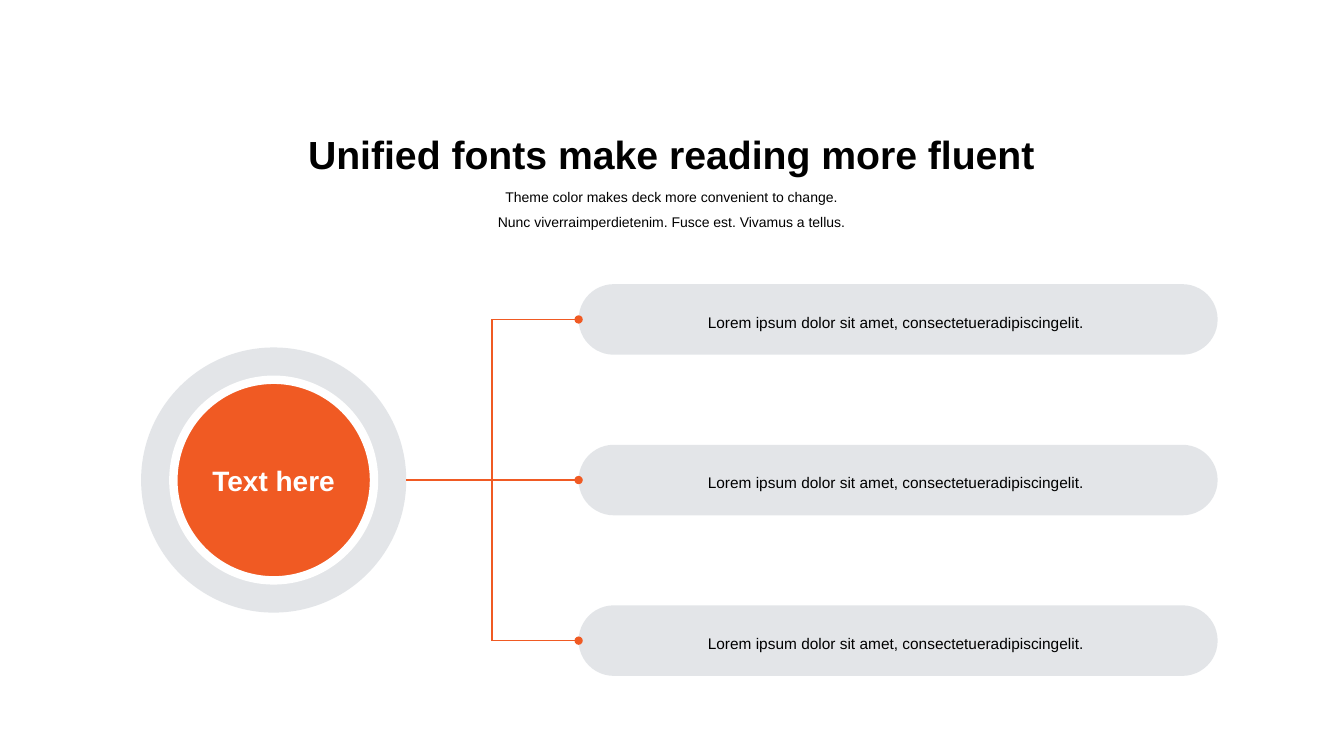
from dataclasses import dataclass

from lxml.etree import SubElement
from pptx import Presentation
from pptx.dml.color import RGBColor
from pptx.enum.shapes import MSO_CONNECTOR as Connector, MSO_SHAPE as Shape
from pptx.enum.text import MSO_ANCHOR as Anchor, MSO_AUTO_SIZE as AutoSize, PP_ALIGN as Align
from pptx.oxml.ns import qn
from pptx.shapes.autoshape import Shape as AutoShape
from pptx.slide import Slide
from pptx.util import Pt

COLORS = {"accent": "F05A23", "slate": "44546A", "white": "FFFFFF", "black": "000000"}
FONT = "Arial"
LEFT_SIDE, RIGHT_SIDE = 1, 3

CENTER_Y = 342.9
PILL_LEFT, PILL_WIDTH, PILL_HEIGHT, PILL_STEP = 413.3, 456.5, 50.4, 114.7
SPINE_X = 351.4
RING_CENTER_X, RING_SIZE, CORE_SIZE = 195.5, 189.4, 143.3
PILL_TEXTS = ["Lorem ipsum dolor sit amet, consectetueradipiscingelit. "] * 3


@dataclass
class Box:
    left: float
    top: float
    width: float
    height: float


@dataclass
class TextStyle:
    size: float
    color: str = "black"
    bold: bool = False
    line_spacing: float = 1.0


@dataclass
class Heading:
    box: Box
    text: str
    style: TextStyle
    anchor: Anchor


HEADINGS = [
    Heading(Box(86.4, 89.3, 786.2, 41), "Unified fonts make reading more fluent",
            TextStyle(28, bold=True), Anchor.MIDDLE),
    Heading(Box(86.4, 125.3, 786.2, 41),
            "Theme color makes deck more convenient to change.\n"
            "Nunc viverraimperdietenim. Fusce est. Vivamus a tellus.",
            TextStyle(10, line_spacing=1.5), Anchor.TOP),
]


def rgb(name: str) -> RGBColor:
    return RGBColor.from_string(COLORS[name])


def write_text(shape: AutoShape, text: str, style: TextStyle,
               anchor: Anchor = Anchor.MIDDLE, wrap: bool = True) -> None:
    frame = shape.text_frame
    frame.text = text
    frame.word_wrap = wrap
    frame.vertical_anchor = anchor
    for paragraph in frame.paragraphs:
        paragraph.alignment = Align.CENTER
        paragraph.line_spacing = style.line_spacing
        for run in paragraph.runs:
            run.font.name = FONT
            run.font.size = Pt(style.size)
            run.font.bold = style.bold
            run.font.color.rgb = rgb(style.color)


def add_pill(slide: Slide, box: Box, color: str, alpha: int = 100) -> AutoShape:
    """Add a fully rounded rectangle; alpha is the opacity in percent."""
    shape = slide.shapes.add_shape(Shape.ROUNDED_RECTANGLE, Pt(box.left), Pt(box.top),
                                   Pt(box.width), Pt(box.height))
    shape.adjustments[0] = 0.5
    shape.shadow.inherit = False
    shape.fill.solid()
    shape.fill.fore_color.rgb = rgb(color)
    shape.line.fill.background()
    if alpha < 100:
        fill_color = shape.fill._xPr.find(f"{qn('a:solidFill')}/{qn('a:srgbClr')}")
        SubElement(fill_color, qn("a:alpha"), val=str(alpha * 1000))
    return shape


def add_disc(slide: Slide, size: float, color: str, alpha: int = 100) -> AutoShape:
    box = Box(RING_CENTER_X - size / 2, CENTER_Y - size / 2, size, size)
    return add_pill(slide, box, color, alpha)


def add_line(slide: Slide, start: tuple[float, float], end: tuple[float, float],
             start_pill: AutoShape | None = None, end_disc: AutoShape | None = None) -> None:
    """Add a line; one that starts at a pill gets a dot there."""
    line = slide.shapes.add_connector(Connector.STRAIGHT, *map(Pt, start + end))
    line.line.color.rgb = rgb("accent")
    line.line.width = Pt(1)
    if start_pill is not None:
        line.begin_connect(start_pill, LEFT_SIDE)
        SubElement(line.line._get_or_add_ln(), qn("a:headEnd"), type="oval")
    if end_disc is not None:
        line.end_connect(end_disc, RIGHT_SIDE)
    SubElement(line._element.spPr, qn("a:effectLst"))


def add_heading(slide: Slide, heading: Heading) -> None:
    box = heading.box
    shape = slide.shapes.add_textbox(Pt(box.left), Pt(box.top), Pt(box.width), Pt(box.height))
    write_text(shape, heading.text, heading.style, heading.anchor)
    shape.text_frame.auto_size = AutoSize.SHAPE_TO_FIT_TEXT


def main() -> None:
    presentation = Presentation()
    presentation.slide_width, presentation.slide_height = Pt(960), Pt(540)
    slide = presentation.slides.add_slide(presentation.slide_layouts[6])

    ring = add_disc(slide, RING_SIZE, "slate", alpha=15)
    core = add_disc(slide, CORE_SIZE, "accent")
    core.line.color.rgb = rgb("white")
    core.line.width = Pt(6)
    write_text(core, "Text here", TextStyle(20, "white", bold=True), wrap=False)

    middle = len(PILL_TEXTS) // 2
    pill_centers = [CENTER_Y + (index - middle) * PILL_STEP for index in range(len(PILL_TEXTS))]
    add_line(slide, (SPINE_X, pill_centers[0]), (SPINE_X, pill_centers[-1]))
    for index, (text, center) in enumerate(zip(PILL_TEXTS, pill_centers)):
        box = Box(PILL_LEFT, center - PILL_HEIGHT / 2, PILL_WIDTH, PILL_HEIGHT)
        pill = add_pill(slide, box, "slate", alpha=15)
        write_text(pill, text, TextStyle(11, line_spacing=1.3))
        add_line(slide, (PILL_LEFT, center), (SPINE_X, center), pill,
                 ring if index == middle else None)

    for heading in HEADINGS:
        add_heading(slide, heading)
    presentation.save("out.pptx")


if __name__ == "__main__":
    main()
